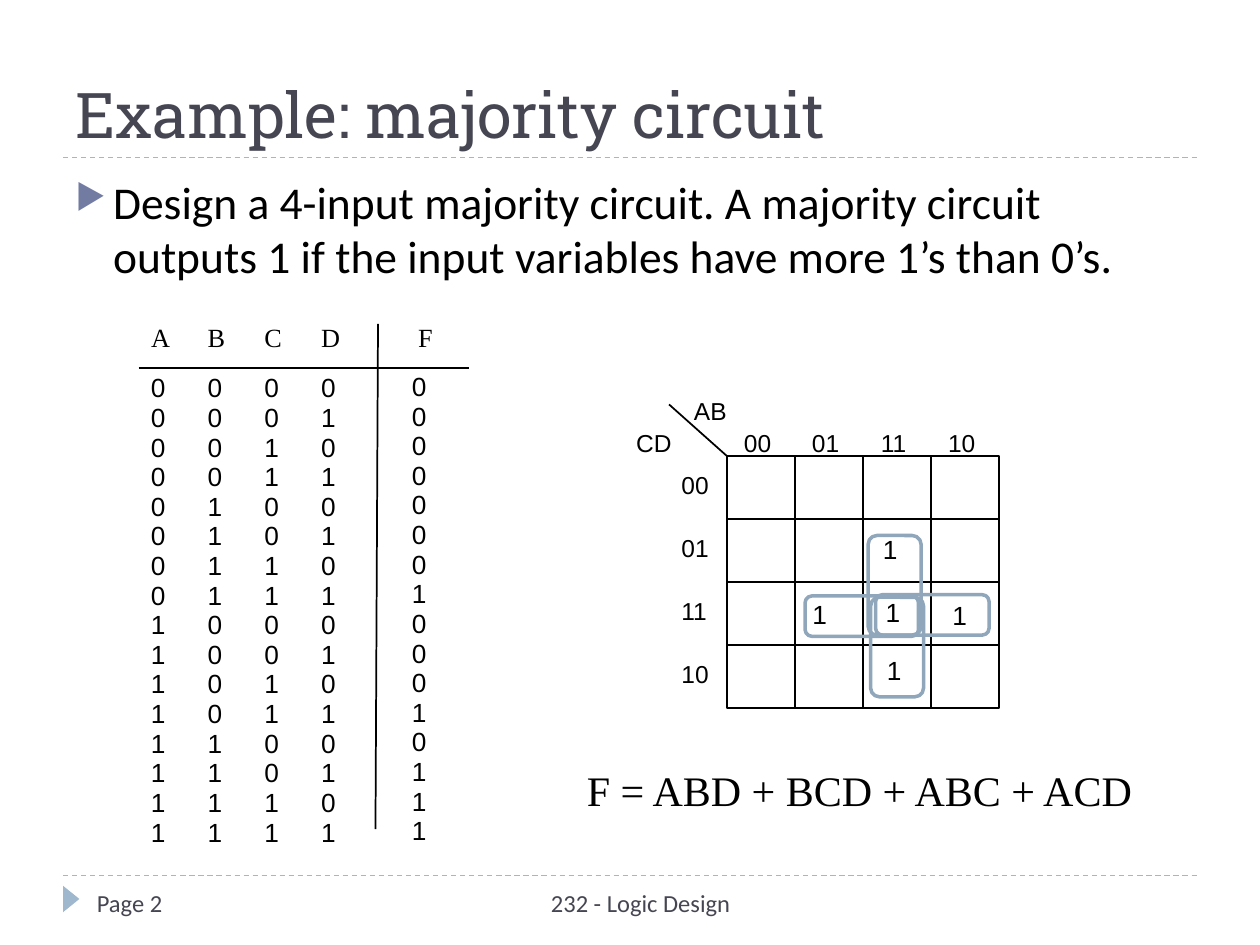
from itertools import product
from lxml import etree
from pptx import Presentation
from pptx.dml.color import RGBColor
from pptx.enum.dml import MSO_LINE
from pptx.enum.shapes import MSO_CONNECTOR, MSO_SHAPE
from pptx.enum.text import MSO_ANCHOR, PP_ALIGN
from pptx.oxml.ns import qn
from pptx.util import Inches, Pt

STRAIGHT = MSO_CONNECTOR.STRAIGHT
DASH = MSO_LINE.DASH
RECT, ROUND, TRIANGLE = MSO_SHAPE.RECTANGLE, MSO_SHAPE.ROUNDED_RECTANGLE, MSO_SHAPE.ISOSCELES_TRIANGLE
CENTER, LEFT = PP_ALIGN.CENTER, PP_ALIGN.LEFT
COLORS = {"text": "000000", "title": "464653", "accent": "9FB8CD", "bullet": "727CA3", "loop": "90A6BA"}


def add_text(text, x, y, w, h, size=15, font="Arial", color="text", align=LEFT,
             spacing=None, wrap=False, box=None, anchor=MSO_ANCHOR.TOP):
    sp = box or s.shapes.add_textbox(0, 0, 0, 0)
    sp.left, sp.top, sp.width, sp.height = Inches(x), Inches(y), Inches(w), Inches(h)
    tf = sp.text_frame
    tf.word_wrap = wrap
    tf.vertical_anchor = anchor
    tf.text = text
    for p in tf.paragraphs:
        p.alignment = align
        p.line_spacing = spacing
        for r in p.runs:
            r.font.size = Pt(size)
            r.font.name = font
            r.font.color.rgb = RGBColor.from_string(COLORS[color])
    return tf


def add_line(x1, y1, x2, y2, color="text", width=1, dash=None):
    c = s.shapes.add_connector(STRAIGHT, Inches(x1), Inches(y1), Inches(x2), Inches(y2))
    c.line.color.rgb = RGBColor.from_string(COLORS[color])
    c.line.width = Pt(width)
    c.line.dash_style = dash
    etree.SubElement(c._element.spPr, qn("a:effectLst"))
    return c


prs = Presentation()
prs.slide_width, prs.slide_height = Inches(10), Inches(7.5)
s = prs.slides.add_slide(prs.slide_layouts[5])

for y in (6.95, 1.25):
    add_line(0.5, y, 9.5, y, color="accent", width=0.75, dash=DASH)
sp = s.shapes.add_shape(TRIANGLE, Inches(0.46), Inches(7.07), Inches(0.21), Inches(0.13))
sp.rotation = 90
sp.shadow.inherit = False
sp.fill.solid()
sp.fill.fore_color.rgb = RGBColor.from_string(COLORS["accent"])
sp.line.fill.background()

add_text("Example: majority circuit", 0.5, 0.17, 9, 1.08, size=36, font="Roboto Slab",
         color="title", wrap=True, box=s.shapes.title, anchor=MSO_ANCHOR.BOTTOM)
tf = add_text("Design a 4-input majority circuit. A majority circuit outputs 1 if the input "
              "variables have more 1’s than 0’s.", 0.5, 1.33, 9, 0.99, size=26, font="Calibri", wrap=True)
p = tf.paragraphs[0]
p.space_before = Pt(6)
pPr = p._p.get_or_add_pPr()
pPr.set("marL", str(Inches(0.3)))
pPr.set("indent", str(Inches(-0.3)))
buClr = etree.SubElement(pPr, qn("a:buClr"))
etree.SubElement(buClr, qn("a:srgbClr"), val=COLORS["bullet"])
etree.SubElement(pPr, qn("a:buSzPct"), val="76000")
etree.SubElement(pPr, qn("a:buChar"), char="▶")

add_text("232 - Logic Design", 3.17, 7, 3.83, 0.4, size=14, font="Calibri", color="title",
         align=CENTER, wrap=True)
add_text("Page 2", 0.67, 7, 2.17, 0.4, size=14, font="Calibri", color="title", wrap=True)

map_x, map_y, cell_w, cell_h = 5.77, 3.62, 0.54, 0.5
map_w, map_h = 4 * cell_w, 4 * cell_h
grid = s.shapes.add_shape(RECT, Inches(map_x), Inches(map_y), Inches(map_w), Inches(map_h))
grid.shadow.inherit = False
grid.fill.background()
grid.line.color.rgb = RGBColor.from_string(COLORS["text"])
grid.line.width = Pt(1)
for i in (1, 2, 3):
    x, y = map_x + i * cell_w, map_y + i * cell_h
    row_line = add_line(map_x, y, map_x + map_w, y)
    column_line = add_line(x, map_y, x, map_y + map_h)
    if i == 2:
        row_line.begin_connect(grid, 1)
        row_line.end_connect(grid, 3)
        column_line.begin_connect(grid, 0)
        column_line.end_connect(grid, 2)

add_text("AB", 5.41, 3.12, 0.47, 0.32, size=14, spacing=0.9)
add_text("CD", 4.95, 3.37, 0.49, 0.32, size=14, spacing=0.9)
add_line(map_x, map_y, 5.31, 3.21)
for i, code in enumerate(("00", "01", "11", "10")):
    add_text(code + " ", map_x + i * cell_w, 3.37, cell_w, 0.32, size=14, align=CENTER,
             spacing=0.9, wrap=True)
    add_text(code, 5.31, 3.71 + i * cell_h, 0.43, 0.32, size=14, spacing=0.9)

for x, y in ((7.46, 4.71), (6.91, 4.18), (6.35, 4.7), (6.93, 4.68), (6.94, 5.14)):
    add_text("1", x, y, 0.33, 0.36)
for x, y, w, h in ((6.89, 4.25, 0.42, 0.79), (6.91, 4.74, 0.42, 0.79),
                   (6.39, 4.73, 0.9, 0.32), (6.95, 4.72, 0.9, 0.32)):
    sp = s.shapes.add_shape(ROUND, Inches(x), Inches(y), Inches(w), Inches(h))
    sp.shadow.inherit = False
    sp.fill.background()
    sp.line.color.rgb = RGBColor.from_string(COLORS["loop"])
    sp.line.width = Pt(2)

inputs = list(product((0, 1), repeat=4))
for i, column in enumerate(zip(*inputs)):
    add_text("\n".join(map(str, column)), 1.1 + i * 0.45, 2.92, 0.33, 3.8, spacing=0.94)
outputs = [int(sum(bits) > 2) for bits in inputs]
add_text("\n".join(map(str, outputs)), 3.17, 2.91, 0.39, 3.83, spacing=0.94, wrap=True)
add_line(1.1, 2.92, 3.72, 2.92)
add_line(3, 2.57, 2.98, 6.58)
tf = add_text("A\tB\tC\tD\tF", 1.1, 2.5, 2.48, 0.36, font="Times New Roman", wrap=True)
tabs = etree.SubElement(tf.paragraphs[0]._p.get_or_add_pPr(), qn("a:tabLst"))
for stop in (0.45, 0.9, 1.35, 2.12):
    etree.SubElement(tabs, qn("a:tab"), pos=str(Inches(stop)), algn="l")

add_text("F = ABD + BCD + ABC + ACD", 4.56, 6.02, 4.57, 0.5, size=24, font="Times New Roman")

prs.save("out.pptx")
